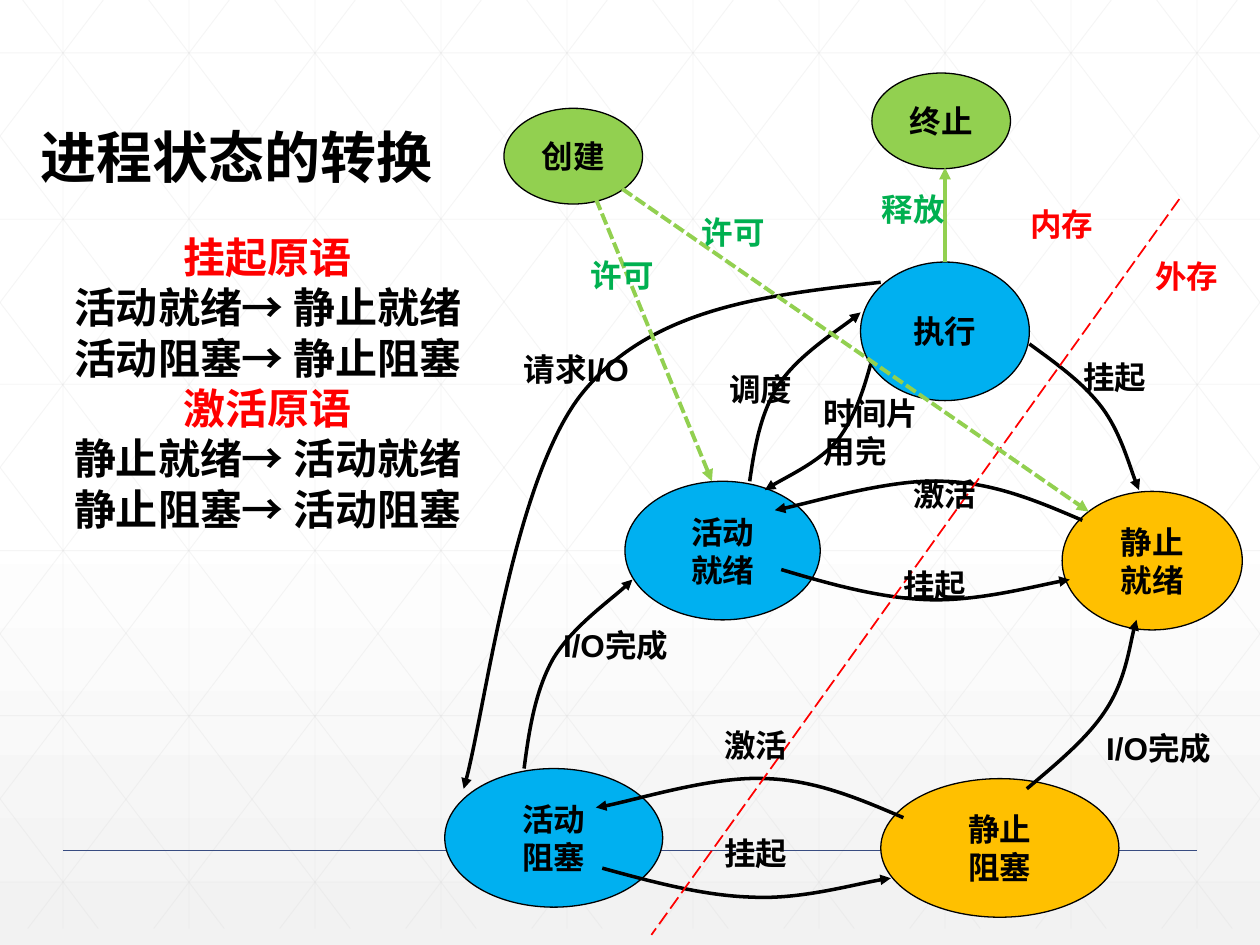
from lxml.etree import SubElement
from pptx import Presentation
from pptx.dml.color import RGBColor
from pptx.enum.dml import MSO_LINE
from pptx.enum.shapes import MSO_CONNECTOR, MSO_SHAPE
from pptx.enum.text import MSO_ANCHOR, PP_ALIGN
from pptx.oxml.ns import qn
from pptx.util import Pt

PX = 9144  # 100 px to the inch
WIDE, HIGH = 1000, 750
HUES = {
    "black": "000000", "white": "FFFFFF", "pale": "F2F2F2", "grid": "D9D9D9",
    "navy": "384C81", "red": "FF0000", "blue": "00B0F0", "gold": "FFC000",
    "lime": "92D050", "green": "00B050",
}
RGB = {name: RGBColor.from_string(code) for name, code in HUES.items()}


def stroke(shape, hue, width, dash=None, arrow=False, alpha=None):
    """Style a line, without shadow."""
    line = shape.line
    line.color.rgb = RGB[hue]
    line.width = Pt(width)
    if dash:
        line.dash_style = dash
    props = shape._element.spPr
    ln = props.find(qn("a:ln"))
    if alpha:
        SubElement(ln.find(".//" + qn("a:srgbClr")), qn("a:alpha"), val=str(alpha * 1000))
    if arrow:
        SubElement(ln, qn("a:tailEnd"), type="triangle")
    SubElement(props, qn("a:effectLst"))


def write(frame, rows, align=PP_ALIGN.LEFT):
    """Fill a text frame with rows of (text, size, hue, paragraph format)."""
    for i, (text, size, hue, form) in enumerate(rows):
        para = frame.add_paragraph() if i else frame.paragraphs[0]
        para.alignment = align
        for key, val in form.items():
            para._p.get_or_add_pPr().set(key, str(val * PX))
        run = para.add_run()
        run.text = text
        looks = {"size": Pt(size), "bold": True, "name": "Arial"}
        for key, val in looks.items():
            setattr(run.font, key, val)
        run.font.color.rgb = RGB[hue]
        SubElement(run._r.get_or_add_rPr(), qn("a:ea"), typeface="Noto Sans CJK SC")


deck = Presentation()
deck.slide_width, deck.slide_height = WIDE * PX, HIGH * PX
slide = deck.slides.add_slide(deck.slide_layouts[6])
shapes = slide.shapes

# Background gradient
back = slide.background.fill
back.gradient()
back.gradient_angle = 270
for stop, (hue, place) in zip(back.gradient_stops, [("white", 0.53), ("pale", 1)]):
    stop.color.rgb = RGB[hue]
    stop.position = place

# Background grid: uprights, levels, and slants clipped to the slide
FOOT, RUN = 737, 560
grid = [(x, 0, x, FOOT) for x in range(50, WIDE, 100)]
grid += [(0, y, WIDE, y) for y in (round(42 + 131.6 * i) for i in range(6))]
for x in range(-482, WIDE, 100):
    left, right = max(x, 0), min(x + RUN, WIDE)
    top, low = (round((end - x) * FOOT / RUN) for end in (left, right))
    grid += [(left, top, right, low), (WIDE - left, top, WIDE - right, low)]
for ends in grid:
    rule = shapes.add_connector(MSO_CONNECTOR.STRAIGHT, *(v * PX for v in ends))
    stroke(rule, "grid", 0.5, alpha=25)
base = shapes.add_connector(MSO_CONNECTOR.STRAIGHT, *(v * PX for v in (50, 675, 950, 675)))
stroke(base, "navy", 1)

# Title and primitives
box = shapes.add_textbox(-75 * PX, 92 * PX, 475 * PX, 340 * PX)
box.text_frame.word_wrap = True
body = [
    ("挂起原语", "red"), ("活动就绪→ 静止就绪", "black"), ("活动阻塞→ 静止阻塞", "black"),
    ("激活原语", "red"), ("静止就绪→ 活动就绪", "black"), ("静止阻塞→ 活动阻塞", "black"),
]
rows = [("进程状态的转换", 32, "black", {"marL": 50, "indent": 0})]
rows += [(text, 24, hue, {"marL": 100, "indent": 0}) for text, hue in body]
write(box.text_frame, rows, PP_ALIGN.CENTER)
box.text_frame.paragraphs[1].space_before = Pt(24)

# States
states = [
    ("执行", "blue", 683, 208, 134, 110),
    ("活动 就绪", "blue", 496, 382, 155, 110),
    ("静止 就绪", "gold", 843, 390, 143, 110),
    ("活动 阻塞", "blue", 353, 610, 173, 110),
    ("静止 阻塞", "gold", 699, 618, 189, 110),
    ("终止", "lime", 692, 58, 110, 76),
    ("创建", "lime", 400, 86, 110, 76),
]
nodes = {}
for name, hue, *place in states:
    node = shapes.add_shape(MSO_SHAPE.OVAL, *(v * PX for v in place))
    node.fill.solid()
    node.fill.fore_color.rgb = RGB[hue]
    stroke(node, "black", 0.75)
    frame = node.text_frame
    for key, val in {"word_wrap": False, "vertical_anchor": MSO_ANCHOR.MIDDLE}.items():
        setattr(frame, key, val)
    write(frame, [(part, 18, "black", {}) for part in name.split()], PP_ALIGN.CENTER)
    nodes[name] = node

# Curved moves: a start point, then three points per cubic piece
curves = [
    [(859, 413), (824, 398), (789, 383), (748, 382), (708, 380), (637, 401), (615, 405)],
    [(620, 452), (660, 464), (700, 475), (738, 476), (776, 477), (830, 463), (849, 460)],
    [(717, 649), (682, 634), (647, 619), (607, 618), (566, 616), (495, 638), (473, 641)],
    [(478, 689), (518, 700), (559, 711), (597, 712), (635, 714), (688, 699), (707, 697)],
    [(416, 610), (420, 579), (425, 548), (439, 523), (454, 498), (492, 471), (502, 460)],
    [(815, 626), (840, 605), (864, 585), (878, 563), (893, 540), (898, 504), (902, 492)],
    [(595, 382), (599, 354), (604, 326), (619, 304), (634, 282), (673, 257), (683, 248)],
    [(817, 273), (839, 289), (860, 304), (875, 324), (889, 343), (899, 378), (904, 389)],
    [(699, 224), (609, 234), (518, 244), (463, 311), (408, 378), (384, 573), (368, 626)],
    [(691, 289), (685, 311), (678, 332), (665, 349), (651, 366), (617, 382), (607, 389)],
]
for start, *rest in curves:
    pen = shapes.build_freeform(*start, scale=PX)
    pen.add_line_segments(rest, close=False)
    curve = pen.convert_to_shape()
    curve.fill.background()
    stroke(curve, "black", 2, arrow=True)
    trail = curve._element.find(".//" + qn("a:path"))
    steps = trail.findall(qn("a:lnTo"))
    for i in range(0, len(steps), 3):
        bend = SubElement(trail, qn("a:cubicBezTo"))
        for step in steps[i:i + 3]:
            bend.append(step[0])
            trail.remove(step)

# Straight moves and the memory border
links = [
    ((936, 158, 517, 742), "red", 1, MSO_LINE.LONG_DASH, False),
    ((494, 150, 864, 406), "lime", 2.25, MSO_LINE.SQUARE_DOT, True),
    ((473, 158, 565, 382), "lime", 2.25, MSO_LINE.SQUARE_DOT, True),
    ((750, 208, 750, 133), "lime", 2.25, None, True),
]
for ends, *look in links:
    link = shapes.add_connector(MSO_CONNECTOR.STRAIGHT, *(v * PX for v in ends))
    stroke(link, *look)
link.begin_connect(nodes["执行"], 0)

# Labels
labels = [
    ("激活", "black", 715, 372, 110, 50), ("挂起", "black", 707, 444, 110, 50),
    ("激活", "black", 565, 571, 126, 50), ("挂起", "black", 565, 657, 118, 50),
    ("I/O完成", "black", 437, 492, 128, 40), ("I/O完成", "black", 868, 574, 118, 40),
    ("挂起", "black", 850, 279, 136, 50), ("请求I/O", "black", 406, 273, 148, 50),
    ("调度", "black", 569, 289, 110, 40), ("时间片用完", "black", 644, 308, 110, 71),
    ("内存", "red", 808, 158, 96, 40), ("外存", "red", 907, 199, 96, 40),
    ("释放", "green", 690, 146, 72, 40),
    ("许可", "green", 459, 198, 72, 40), ("许可", "green", 547, 164, 72, 40),
]
for text, hue, *place in labels:
    label = shapes.add_textbox(*(v * PX for v in place))
    label.text_frame.word_wrap = True
    write(label.text_frame, [(text, 18, hue, {})])

deck.save("out.pptx")
